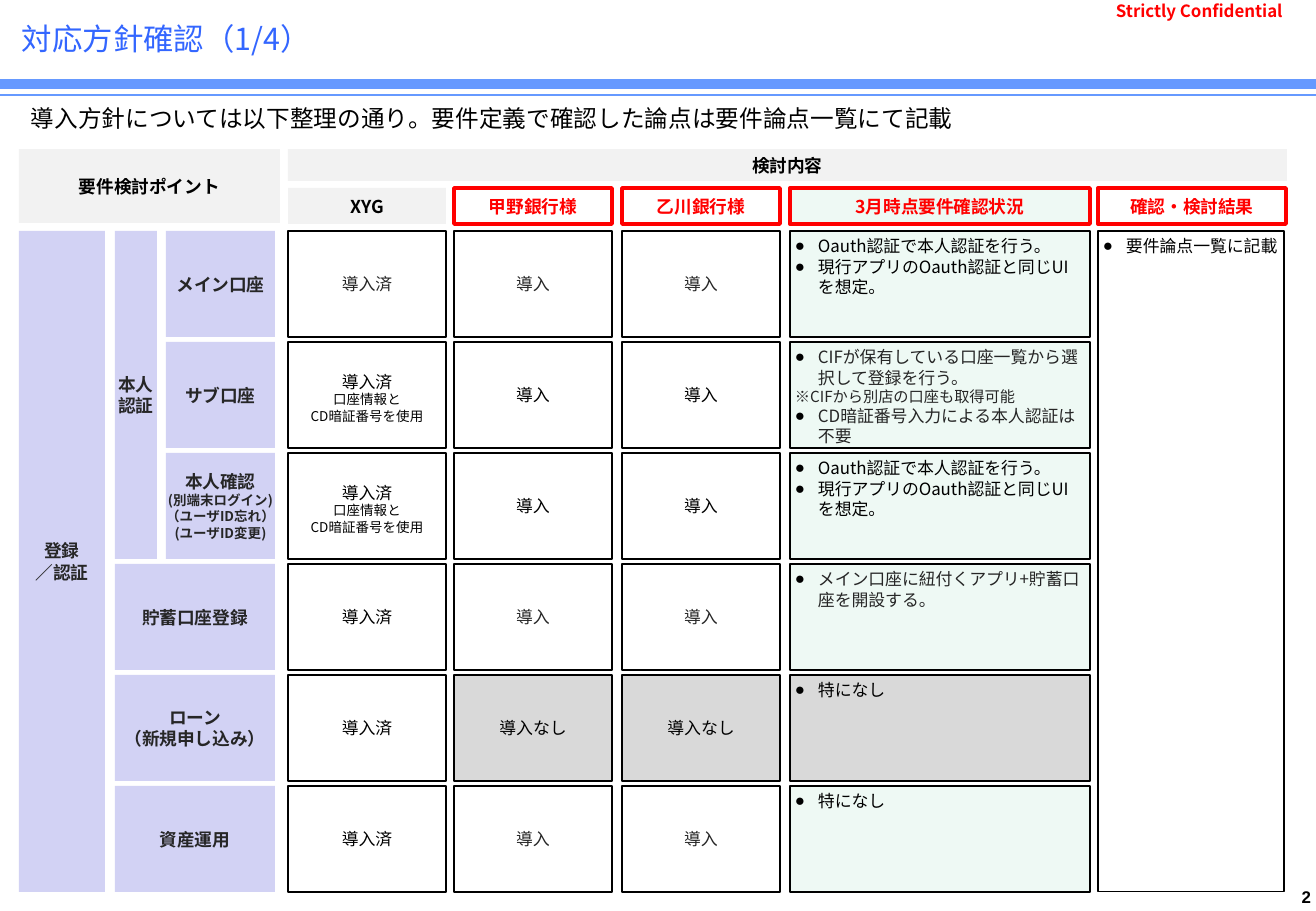
from lxml.etree import SubElement
from pptx import Presentation
from pptx.dml.color import RGBColor
from pptx.enum.shapes import MSO_CONNECTOR, MSO_SHAPE
from pptx.enum.text import MSO_ANCHOR, PP_ALIGN
from pptx.oxml.ns import qn
from pptx.util import Pt

PX = 914400 / 121.5
JP = "Noto Sans CJK JP"
BLACK, DARK, RED = "000000", "262626", "FF0000"
WHITE, GREY, LILAC = "FFFFFF", "F2F2F2", "D2D2F4"
MINT, SILVER, BLUE = "EEF9F4", "D9D9D9", "6699FF"


def rgb(value):
    return RGBColor.from_string(value)


def add_box(area, lines, size, color=BLACK, bold=False, fill=None, line=None,
            line_width=0.75, align=PP_ALIGN.CENTER, anchor=MSO_ANCHOR.MIDDLE,
            wrap=True, bullets=False, inset=(5, 5), font=JP):
    box = slide.shapes.add_shape(MSO_SHAPE.RECTANGLE, *[round(v * PX) for v in area])
    box.shadow.inherit = False
    if fill:
        box.fill.solid()
        box.fill.fore_color.rgb = rgb(fill)
    else:
        box.fill.background()
    if line:
        box.line.color.rgb = rgb(line)
        box.line.width = Pt(line_width)
    else:
        box.line.fill.background()
    frame = box.text_frame
    frame.word_wrap = wrap
    frame.vertical_anchor = anchor
    frame.margin_left = frame.margin_right = round(inset[0] * PX)
    frame.margin_top = frame.margin_bottom = round(inset[1] * PX)
    frame.text = "\n".join(text for text, _ in lines)
    for paragraph, (text, line_size) in zip(frame.paragraphs, lines):
        paragraph.alignment = align
        if bullets and not text.startswith("※"):
            properties = paragraph._p.get_or_add_pPr()
            properties.set("marL", str(round(23 * PX)))
            properties.set("indent", str(round(-23 * PX)))
            bullet_color = SubElement(properties, qn("a:buClr"))
            SubElement(bullet_color, qn("a:srgbClr"), val=BLACK)
            SubElement(properties, qn("a:buFont"), typeface="Arial")
            SubElement(properties, qn("a:buChar"), char="●")
        for run in paragraph.runs:
            run.font.size = Pt(line_size or size)
            run.font.bold = bold
            run.font.color.rgb = rgb(color)
            run.font.name = font
            SubElement(run.font._element, qn("a:ea"), typeface=font)
    return box


deck = Presentation()
deck.slide_width = round(1316 * PX)
deck.slide_height = round(911 * PX)
slide = deck.slides.add_slide(deck.slide_layouts[6])

for rule_y, rule_width in [(84, 6), (95, 1)]:
    rule = slide.shapes.add_connector(
        MSO_CONNECTOR.STRAIGHT, 0, round(rule_y * PX), deck.slide_width, round(rule_y * PX))
    rule.line.color.rgb = rgb(BLUE)
    rule.line.width = Pt(rule_width)
    SubElement(rule._element.spPr, qn("a:effectLst"))

add_box((10, 7, 1261, 62), [("対応方針確認（1/4）", None)], 18, "3366FF",
        align=PP_ALIGN.LEFT, inset=(12, 6))
add_box((1106, 5, 214, 12), [("Strictly Confidential", None)], 10, RED, True,
        align=PP_ALIGN.LEFT, inset=(10, 5))
add_box((19, 98, 1160, 45),
        [("導入方針については以下整理の通り。要件定義で確認した論点は要件論点一覧にて記載", None)], 14,
        align=PP_ALIGN.LEFT, anchor=MSO_ANCHOR.TOP, inset=(12, 6))
add_box((1277, 882, 39, 30), [("2", None)], 10, bold=True, align=PP_ALIGN.RIGHT,
        anchor=MSO_ANCHOR.TOP, font="Arial")

for area, heading in [((19, 149, 261, 74), "要件検討ポイント"), ((288, 149, 999, 32), "検討内容")]:
    add_box(area, [(heading, None)], 10.5, bold=True, fill=GREY, wrap=False)

column_x = [288, 454, 622, 790, 1098]
column_width = [158, 158, 158, 300, 188]
column_names = ["XYG", "甲野銀行様", "乙川銀行様", "3月時点要件確認状況", "確認・検討結果"]
column_fills = [GREY, WHITE, WHITE, MINT, WHITE]
for index, name in enumerate(column_names):
    own = index == 0
    add_box((column_x[index], 188, column_width[index], 36), [(name, None)], 10.5,
            BLACK if own else RED, True, column_fills[index],
            None if own else RED, 2.25)

row_y = [231 + 111 * row for row in range(6)]
row_height = 106
full_height = row_y[-1] + row_height - row_y[0]

topics = [
    ((19, row_y[0], 86, full_height), [("登録", None), ("／認証", None)]),
    ((115, row_y[0], 42, row_y[2] + row_height - row_y[0]), [("本人", None), ("認証", None)]),
    ((166, row_y[0], 109, row_height), [("メイン口座", None)]),
    ((166, row_y[1], 109, row_height), [("サブ口座", None)]),
    ((166, row_y[2], 109, row_height), [
        ("本人確認", None), ("(別端末ログイン)", 8), ("（ユーザID忘れ）", 8), ("(ユーザID変更)", 8)]),
    ((115, row_y[3], 160, row_height), [("貯蓄口座登録", None)]),
    ((115, row_y[4], 160, row_height), [("ローン", None), ("（新規申し込み）", None)]),
    ((115, row_y[5], 160, row_height), [("資産運用", None)]),
]
for area, lines in topics:
    add_box(area, lines, 10.5, DARK, True, LILAC, wrap=False)

done = [("導入済", None)]
done_with_pin = done + [("口座情報と", 8), ("CD暗証番号を使用", 8)]
same_login = [("Oauth認証で本人認証を行う。", None), ("現行アプリのOauth認証と同じUIを想定。", None)]
sub_account = [
    ("CIFが保有している口座一覧から選択して登録を行う。", None),
    ("※CIFから別店の口座も取得可能", 9),
    ("CD暗証番号入力による本人認証は不要", None),
]
savings = [("メイン口座に紐付くアプリ+貯蓄口座を開設する。", None)]
nothing = [("特になし", None)]
rows = [
    (done, DARK, "導入", DARK, same_login, BLACK),
    (done_with_pin, BLACK, "導入", BLACK, sub_account, DARK),
    (done_with_pin, BLACK, "導入", BLACK, same_login, BLACK),
    (done, BLACK, "導入", DARK, savings, DARK),
    (done, BLACK, "導入なし", BLACK, nothing, BLACK),
    (done, BLACK, "導入", DARK, nothing, BLACK),
]
for top, (own, own_color, plan, plan_color, status, status_color) in zip(row_y, rows):
    skipped = plan == "導入なし"
    own_cell = add_box((column_x[0], top, column_width[0], row_height), own, 10,
                       own_color, line=BLACK)
    if own is done_with_pin:
        own_cell.text_frame.margin_bottom = 0
    for index in (1, 2):
        add_box((column_x[index], top, column_width[index], row_height), [(plan, None)], 10,
                plan_color, fill=SILVER if skipped else None, line=BLACK)
    add_box((column_x[3], top, column_width[3], row_height), status, 10, status_color,
            fill=SILVER if skipped else MINT, line=BLACK, align=PP_ALIGN.LEFT,
            anchor=MSO_ANCHOR.TOP, bullets=True)

add_box((column_x[4], row_y[0], 186, full_height), [("要件論点一覧に記載", None)], 10,
        line=BLACK, align=PP_ALIGN.LEFT, anchor=MSO_ANCHOR.TOP, bullets=True)

deck.save("out.pptx")
